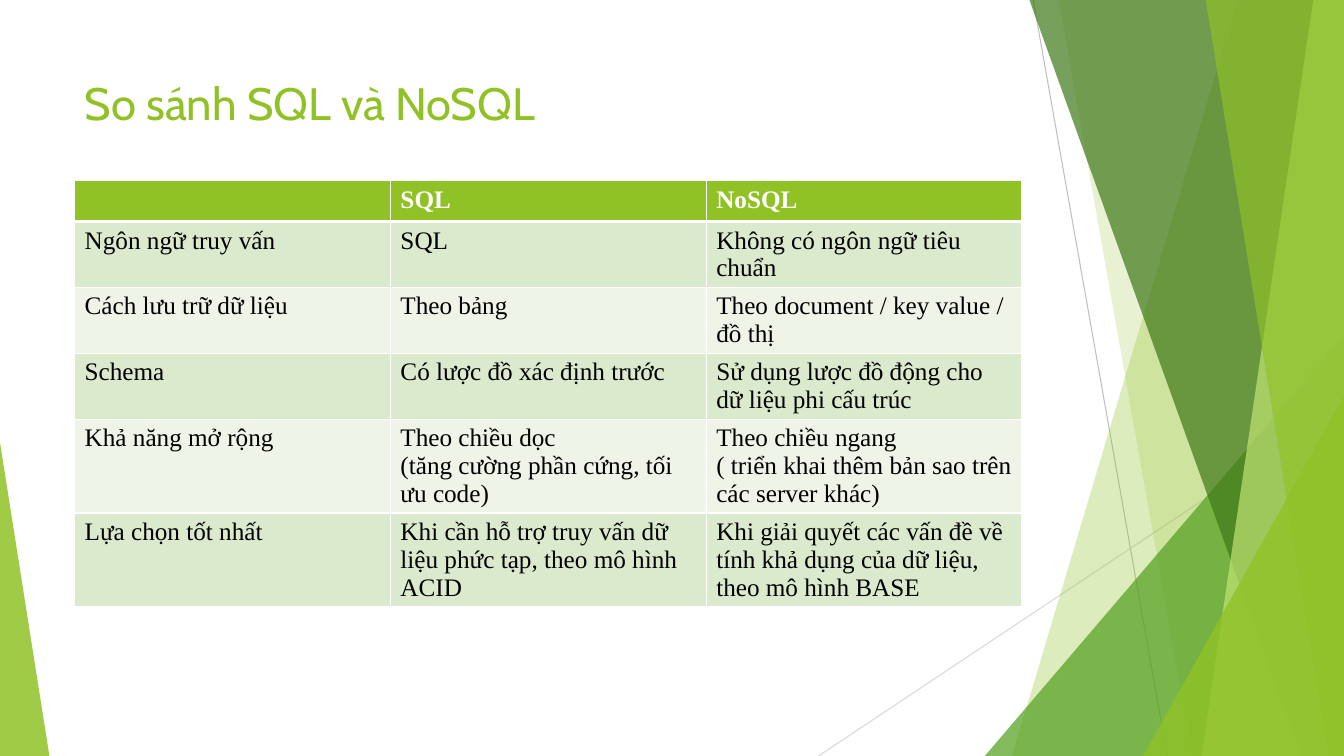
from lxml import etree
from pptx import Presentation
from pptx.dml.color import RGBColor
from pptx.enum.shapes import MSO_CONNECTOR, MSO_SHAPE
from pptx.enum.text import MSO_ANCHOR, PP_ALIGN
from pptx.oxml.ns import qn
from pptx.util import Pt

STRAIGHT = MSO_CONNECTOR.STRAIGHT
TRIANGLE = MSO_SHAPE.ISOSCELES_TRIANGLE
MIDDLE = MSO_ANCHOR.MIDDLE
LEFT = PP_ALIGN.LEFT

WIDTH, HEIGHT = 960, 540
TOP = -0.6
GREEN, WHITE, BLACK = "90C226", "FFFFFF", "000000"
BANDS = ["DBE9CD", "EEF4E8"]


def rgb(value):
    return RGBColor.from_string(value)


def paint(sp, color, opacity):
    """Give a shape a see-through fill, with no outline or shadow."""
    sp.shadow.inherit = False
    sp.fill.solid()
    sp.fill.fore_color.rgb = rgb(color)
    clr = next(sp.element.spPr.iter(qn("a:srgbClr")))
    etree.SubElement(clr, qn("a:alpha"), val=str(opacity * 1000))
    sp.line.fill.background()


prs = Presentation()
prs.slide_width, prs.slide_height = Pt(WIDTH), Pt(HEIGHT)
s = prs.slides.add_slide(prs.slide_layouts[5])

# Thin lines
for x1, y1, x2, y2, color in [
    (738, 0, 833.76, HEIGHT, "BFBFBF"),
    (WIDTH, 290.16, 584.64, HEIGHT, "D9D9D9"),
]:
    line = s.shapes.add_connector(STRAIGHT, Pt(x1), Pt(y1), Pt(x2), Pt(y2))
    line.line.color.rgb = rgb(color)
    line.line.width = Pt(0.75)
    etree.SubElement(line.element.spPr, qn("a:effectLst"))

# Facets, back to front: a band has its left edge at top and bottom,
# a triangle has left, top, width and the place of its tip
facets = [
    ((884.16, 722.88), GREEN, 30),
    ((756, 851.76), GREEN, 20),
    ((703.44, 239.76, 256.56, 1), "54A021", 72),
    ((735.12, 929.52), "3F7819", 70),
    ((938.16, 858.24), "C0E474", 70),
    ((861.12, 948.96), GREEN, 65),
    ((816.48, 282.96, 143.52, 1), GREEN, 80),
    ((0, 316.08, 35.28, 0), GREEN, 85),
]
for geometry, color, opacity in facets:
    if len(geometry) == 2:
        upper, lower = geometry
        outline = s.shapes.build_freeform(Pt(upper), Pt(TOP))
        corners = [(WIDTH, TOP), (WIDTH, HEIGHT), (lower, HEIGHT)]
        outline.add_line_segments([(Pt(x), Pt(y)) for x, y in corners])
        sp = outline.convert_to_shape()
    else:
        left, top, width, tip = geometry
        sp = s.shapes.add_shape(TRIANGLE, Pt(left), Pt(top), Pt(width), Pt(HEIGHT - top))
        sp.adjustments[0] = tip
    paint(sp, color, opacity)

# Title
title = s.shapes.title
title.left, title.top, title.width, title.height = Pt(53.28), Pt(48.24), Pt(676.8), Pt(49.68)
title.text_frame.text = "So sánh SQL và NoSQL"
title.text_frame.vertical_anchor = MIDDLE
p = title.text_frame.paragraphs[0]
p.alignment = LEFT
p.font.name, p.font.size = "Cabin", Pt(32.4)
p.font.color.rgb = rgb(GREEN)

# Comparison table
rows = [
    ("", "SQL", "NoSQL"),
    ("Ngôn ngữ truy vấn", "SQL", "Không có ngôn ngữ tiêu chuẩn"),
    ("Cách lưu trữ dữ liệu", "Theo bảng", "Theo document / key value / đồ thị"),
    ("Schema", "Có lược đồ xác định trước", "Sử dụng lược đồ động cho dữ liệu phi cấu trúc"),
    ("Khả năng mở rộng",
     "Theo chiều dọc\n(tăng cường phần cứng, tối ưu code)",
     "Theo chiều ngang\n( triển khai thêm bản sao trên các server khác)"),
    ("Lựa chọn tốt nhất",
     "Khi cần hỗ trợ truy vấn dữ liệu phức tạp, theo mô hình ACID",
     "Khi giải quyết các vấn đề về tính khả dụng của dữ liệu, theo mô hình BASE"),
]
table = s.shapes.add_table(
    len(rows), 3, Pt(53.28), Pt(129), Pt(676.8), Pt(29.2 * len(rows))
).table
for i, row in enumerate(rows):
    header = i == 0
    widths = {"a:lnL": 1, "a:lnR": 1, "a:lnT": 3 if i == 1 else 1, "a:lnB": 3 if header else 1}
    for j, text in enumerate(row):
        cell = table.cell(i, j)
        cell.text = text
        cell.fill.solid()
        cell.fill.fore_color.rgb = rgb(GREEN if header else BANDS[(i - 1) % 2])
        for p in cell.text_frame.paragraphs:
            font = {"name": "Times New Roman", "size": Pt(18), "bold": header}
            for key, value in font.items():
                setattr(p.font, key, value)
            p.font.color.rgb = rgb(WHITE if header else BLACK)
        tcPr = cell._tc.get_or_add_tcPr()
        for k, (tag, width) in enumerate(widths.items()):
            ln = etree.Element(qn(tag), w=str(Pt(width)))
            fill = etree.SubElement(ln, qn("a:solidFill"))
            etree.SubElement(fill, qn("a:srgbClr"), val=WHITE)
            tcPr.insert(k, ln)

prs.save("out.pptx")
